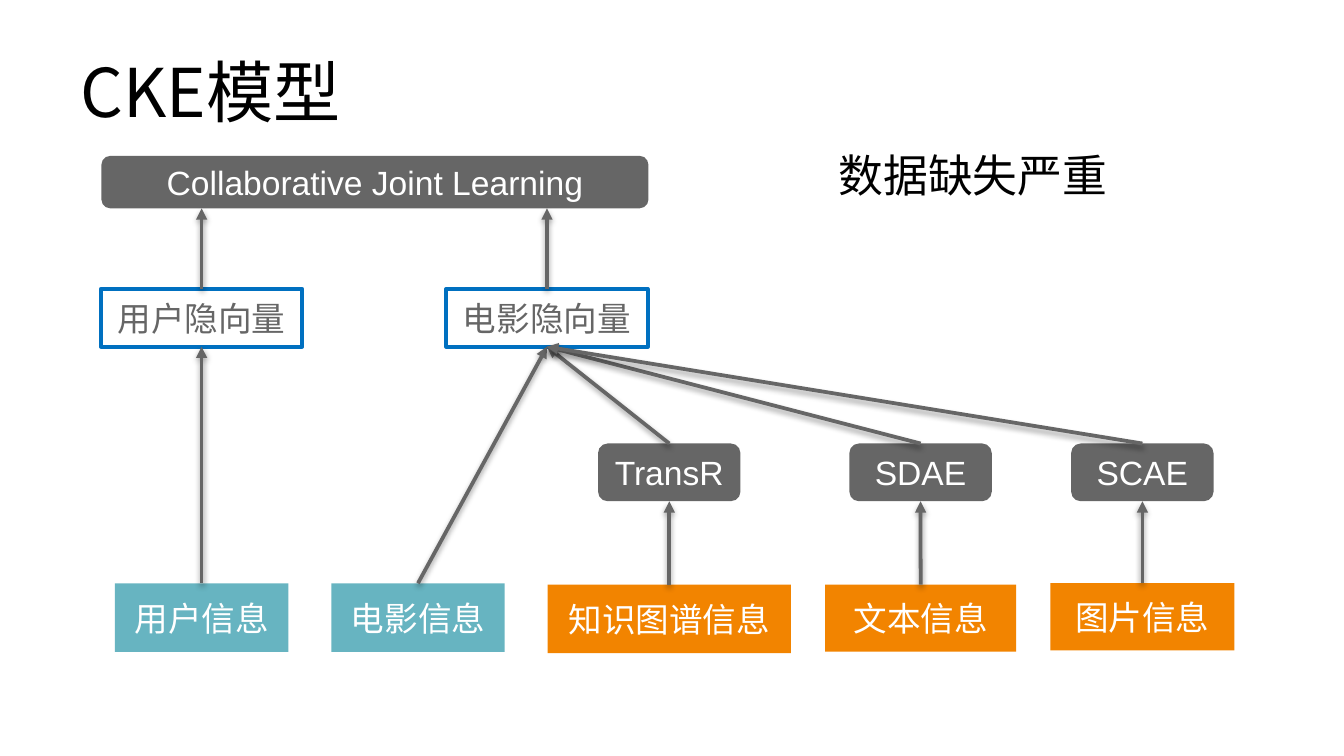
import pptx
import pptx.util
import pptx.dml.color
import pptx.enum.shapes
import pptx.enum.text
import pptx.oxml
import pptx.oxml.ns

Inches, Pt = pptx.util.Inches, pptx.util.Pt
SHAPE = pptx.enum.shapes.MSO_SHAPE
ALIGN = pptx.enum.text.PP_ALIGN
ANCHOR = pptx.enum.text.MSO_ANCHOR

COLORS = {"black": "000000", "white": "FFFFFF", "gray": "666666",
          "blue": "0070C0", "teal": "67B4C1", "orange": "F28400"}
CJK_FONT = "Noto Sans CJK SC"

# Content: text, left, top, width, height, size, Latin font
TITLE = ("CKE模型", 0.5, 0.25, 9, 0.79, 36, CJK_FONT)
REMARK = ("数据缺失严重", 6.14, 1.05, 2.22, 0.5, 24, "Arial")

# Box styles: preset, fill, outline, text colour
STYLES = {
    "model": (SHAPE.ROUNDED_RECTANGLE, "gray", None, "white"),
    "vector": (SHAPE.RECTANGLE, "white", "blue", "gray"),
    "input": (SHAPE.RECTANGLE, "teal", None, "white"),
    "side input": (SHAPE.RECTANGLE, "orange", None, "white"),
}

# Boxes: text, style, centre x, top, width, height
JOINT, USER, MOVIE = "Collaborative Joint Learning", "用户隐向量", "电影隐向量"
BOXES = [
    (JOINT, "model", 2.79, 1.16, 4.07, 0.39),
    (USER, "vector", 1.5, 2.15, 1.5, 0.43),
    (MOVIE, "vector", 4.07, 2.15, 1.5, 0.43),
    ("TransR", "model", 4.98, 3.3, 1.06, 0.43),
    ("SDAE", "model", 6.85, 3.3, 1.06, 0.43),
    ("SCAE", "model", 8.5, 3.3, 1.06, 0.43),
    ("用户信息", "input", 1.5, 4.34, 1.29, 0.51),
    ("电影信息", "input", 3.11, 4.34, 1.29, 0.51),
    ("知识图谱信息", "side input", 4.98, 4.35, 1.81, 0.51),
    ("文本信息", "side input", 6.85, 4.35, 1.42, 0.5),
    ("图片信息", "side input", 8.5, 4.34, 1.37, 0.5),
]

# Arrows: lower box, upper box
FLOWS = [
    (USER, JOINT), (MOVIE, JOINT),
    ("用户信息", USER), ("电影信息", MOVIE),
    ("TransR", MOVIE), ("SDAE", MOVIE), ("SCAE", MOVIE),
    ("知识图谱信息", "TransR"), ("文本信息", "SDAE"), ("图片信息", "SCAE"),
]

ARROW_SHADOW = (
    f'<a:effectLst {pptx.oxml.ns.nsdecls("a")}>'
    '<a:outerShdw blurRad="40000" dist="20000" dir="5400000" rotWithShape="0">'
    '<a:srgbClr val="000000"><a:alpha val="38000"/></a:srgbClr>'
    '</a:outerShdw></a:effectLst>')
ARROWHEAD = f'<a:tailEnd {pptx.oxml.ns.nsdecls("a")} type="triangle"/>'


def rgb(name):
    return pptx.dml.color.RGBColor.from_string(COLORS[name])


def write(frame, text, size, color, font="Arial"):
    frame.text = text
    run = frame.paragraphs[0].runs[0]
    run.font.size, run.font.name = Pt(size), font
    run.font.color.rgb = rgb(color)
    east_asian = pptx.oxml.parse_xml(
        f'<a:ea {pptx.oxml.ns.nsdecls("a")} typeface="{CJK_FONT}"/>')
    run.font._element.append(east_asian)


def add_label(slide, text, left, top, width, height, size, font):
    label = slide.shapes.add_textbox(*map(Inches, (left, top, width, height)))
    write(label.text_frame, text, size, "black", font)
    return label.text_frame


def add_box(slide, text, style, center, top, width, height):
    preset, fill, outline, color = STYLES[style]
    box = slide.shapes.add_shape(
        preset, *map(Inches, (center - width / 2, top, width, height)))
    box.shadow.inherit = False
    box.fill.solid()
    box.fill.fore_color.rgb = rgb(fill)
    if outline:
        box.line.color.rgb = rgb(outline)
        box.line.width = Pt(2)
    else:
        box.line.fill.background()
    frame = box.text_frame
    frame.word_wrap = False
    frame.vertical_anchor = ANCHOR.MIDDLE
    write(frame, text, 18, color)
    frame.paragraphs[0].alignment = ALIGN.CENTER
    return box


def add_arrow(slide, lower, upper, joined):
    x = lower.left + lower.width // 2
    arrow = slide.shapes.add_connector(
        pptx.enum.shapes.MSO_CONNECTOR.STRAIGHT,
        x, lower.top, x, upper.top + upper.height)
    arrow.begin_connect(lower, 0)
    if joined:
        arrow.end_connect(upper, 2)
    arrow.line.color.rgb = rgb("gray")
    arrow.line.width = Pt(2)
    arrow.line._get_or_add_ln().append(pptx.oxml.parse_xml(ARROWHEAD))
    arrow._element.spPr.append(pptx.oxml.parse_xml(ARROW_SHADOW))


def main():
    # Widescreen 16:9 slide
    deck = pptx.Presentation()
    deck.slide_width, deck.slide_height = Inches(10), Inches(10 * 9 / 16)
    slide = deck.slides.add_slide(deck.slide_layouts[6])

    # Title and remark
    title = add_label(slide, *TITLE)
    title.word_wrap = True
    title.vertical_anchor = ANCHOR.MIDDLE
    title.paragraphs[0].line_spacing = 1.1
    remark = add_label(slide, *REMARK)
    remark.word_wrap = False
    remark.auto_size = pptx.enum.text.MSO_AUTO_SIZE.SHAPE_TO_FIT_TEXT

    # Model diagram; arrows into the wide joint box rise straight up
    boxes = {box[0]: add_box(slide, *box) for box in BOXES}
    for lower, upper in FLOWS:
        add_arrow(slide, boxes[lower], boxes[upper], joined=upper != JOINT)

    deck.save("out.pptx")


if __name__ == "__main__":
    main()
